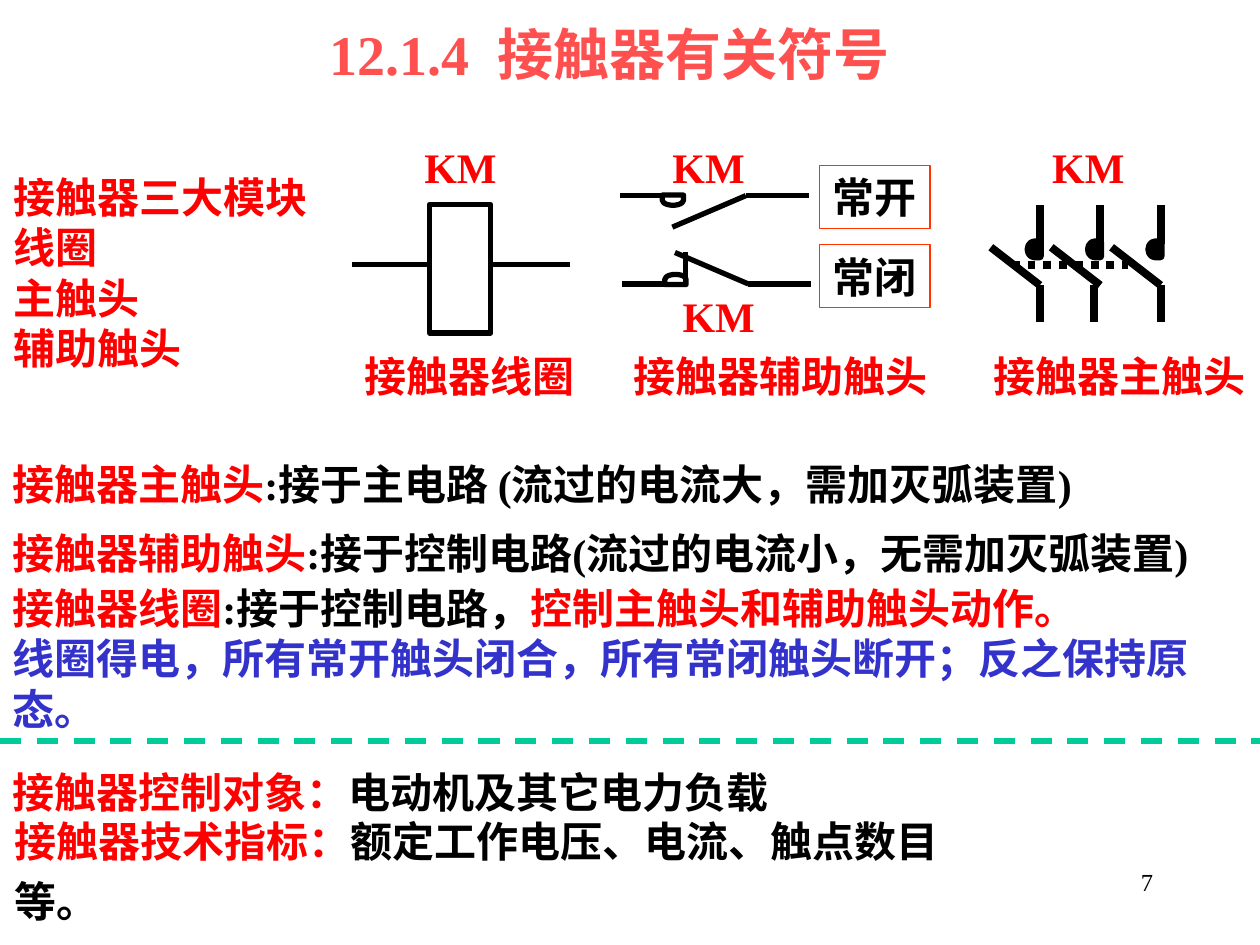
from lxml import etree
from pptx import Presentation
from pptx.dml.color import RGBColor
from pptx.enum import dml, shapes, text
from pptx.oxml.ns import qn
from pptx.util import Pt

RED = RGBColor(0xFF, 0x00, 0x00)
CORAL = RGBColor(0xFF, 0x50, 0x50)
FRAME = RGBColor(0xFF, 0x33, 0x00)
BLUE = RGBColor(0x33, 0x33, 0xCC)
GREEN = RGBColor(0x00, 0xCC, 0x99)
BLACK = RGBColor(0, 0, 0)
WHITE = RGBColor(0xFF, 0xFF, 0xFF)

FACE = {"name": "Times New Roman", "size": Pt(24), "bold": True}
INSETS = {"margin_left": Pt(7.2), "margin_right": Pt(7.2),
          "margin_top": Pt(3.6), "margin_bottom": Pt(3.6)}
MIDDLE = {"vertical_anchor": text.MSO_ANCHOR.MIDDLE}
FIT = {"auto_size": text.MSO_AUTO_SIZE.SHAPE_TO_FIT_TEXT}
LOOSE = {"word_wrap": False}
LABEL_Y = 119.5
ROW_H = 36


def assign(target, *formats):
    for values in formats:
        for key, value in values.items():
            setattr(target, key, value)


def write(frame, paras, form=None, face=None, **para_form):
    """Fill a frame; each paragraph is a list of (words, colour) runs."""
    assign(frame, INSETS, {"word_wrap": True}, form or {})
    for i, runs in enumerate(paras):
        para = frame.add_paragraph() if i else frame.paragraphs[0]
        para._p.get_or_add_pPr().set("hangingPunct", "0")
        assign(para, para_form)
        for words, colour in runs:
            run = para.add_run()
            run.text = words
            assign(run.font, FACE, face or {})
            run.font.color.rgb = colour


def label(slide, box, paras, form=None, face=None, **para_form):
    area = slide.shapes.add_textbox(*map(Pt, box))
    write(area.text_frame, paras, form, face, **para_form)


def tag(slide, x, y, words, width=55.5):
    label(slide, (x, y, width, ROW_H), [[(words, RED)]], FIT | LOOSE)


def wire(slide, x1, y1, x2, y2, width=3, colour=BLACK, dash=None):
    line = slide.shapes.add_connector(
        shapes.MSO_CONNECTOR.STRAIGHT, *map(Pt, (x1, y1, x2, y2)))
    line.line.color.rgb = colour
    line.line.width = Pt(width)
    if dash:
        line.line.dash_style = dash
    etree.SubElement(line._element.spPr, qn("a:effectLst"))


def block(slide, kind, box, fill=None, line=BLACK, width=3, turn=0):
    shape = slide.shapes.add_shape(kind, *map(Pt, box))
    shape.shadow.inherit = False
    shape.rotation = turn
    if fill is None:
        shape.fill.background()
    else:
        shape.fill.solid()
        shape.fill.fore_color.rgb = fill
    shape.line.color.rgb = line
    shape.line.width = Pt(width)
    return shape


def title(slide, box):
    head = slide.shapes.title
    assign(head, dict(zip(("left", "top", "width", "height"), map(Pt, box))))
    write(head.text_frame, [[("12.1.4  接触器有关符号", CORAL)]],
          MIDDLE | {"auto_size": text.MSO_AUTO_SIZE.NONE},
          {"size": Pt(32)}, alignment=text.PP_ALIGN.CENTER)


def modules(slide, box):
    """List the three parts of a contactor."""
    names = ("接触器三大模块", "线圈", "主触头", "辅助触头")
    label(slide, box, [[(name, RED)] for name in names], FIT | LOOSE)


def coil(slide, x, y):
    tag(slide, x, y + LABEL_Y, "接触器线圈", 135)
    block(slide, shapes.MSO_SHAPE.RECTANGLE, (x + 44, y + 39.5, 35, 73.5), WHITE)
    for start, end in ((0, 45), (78.5, 124.5)):
        wire(slide, x + start, y + 74, x + end, y + 74)
    tag(slide, x + 34, y, "KM")


def contact(slide, x, y, rise, arc_y, turn):
    """Draw one auxiliary contact whose blade tip lies rise below its axis."""
    for start in (0, 72):
        wire(slide, x + start, y, x + start + 36, y)
    wire(slide, x + 72, y, x + 30, y + rise)
    block(slide, shapes.MSO_SHAPE.FLOWCHART_DELAY,
          (x + 27.4, y + arc_y, 5.8, 12.2), WHITE, turn=turn)


def auxiliary(slide, x, y):
    contact(slide, x, y + 34.5, 18, -3.5, 90)
    contact(slide, x + 1.5, y + 85, -18, -8.7, 270)
    wire(slide, x + 37.5, y + 85, x + 37.5, y + 67)
    for i, name in enumerate(("常开", "常闭")):
        frame = block(slide, shapes.MSO_SHAPE.RECTANGLE,
                      (x + 114.2, y + 17.3 + 45.3 * i, 63, ROW_H),
                      line=FRAME, width=0.75)
        write(frame.text_frame, [[(name, BLACK)]], MIDDLE | FIT | LOOSE,
              alignment=text.PP_ALIGN.CENTER)
    tag(slide, x + 23, y, "KM")
    tag(slide, x + 28.8, y + 85, "KM")
    tag(slide, x + 0.7, y + LABEL_Y, "接触器辅助触头", 183)


def main_poles(slide, x, y):
    for pole, shift in ((33, 0), (67.5, -3.5), (102, 0)):
        px = x + pole
        wire(slide, px, y + 85.7, px - 28, y + 64, 4.5)
        block(slide, shapes.MSO_SHAPE.FLOWCHART_DELAY,
              (px - 6.5, y + 61.2, 6.5, 8), BLACK, width=4.5, turn=180)
        wire(slide, px + shift, y + 85.5, px + shift, y + 107, 4.5)
        wire(slide, px, y + 40, px, y + 62, 4.5)
    wire(slide, x + 17, y + 74, x + 83.5, y + 74, 4.5,
         dash=dml.MSO_LINE.ROUND_DOT)
    tag(slide, x + 33, y, "KM")
    tag(slide, x - 0.4, y + LABEL_Y, "接触器主触头", 159)


def notes(slide, x, y, width):
    """Explain how the parts are wired, above the dashed rule."""
    rows = (
        (0, ROW_H, [[("接触器主触头", RED),
                     (":接于主电路 (流过的电流大，需加灭弧装置)", BLACK)]]),
        (39.6, ROW_H, [[("接触器辅助触头", RED),
                        (":接于控制电路(流过的电流小，无需加灭弧装置)", BLACK)]]),
        (85, 65, [[("接触器线圈", RED), (":接于控制电路，", BLACK),
                   ("控制主触头和辅助触头动作。", RED)],
                  [("线圈得电，所有常开触头闭合，所有常闭触头断开；"
                    "反之保持原态。", BLUE)]]),
    )
    for top, height, paras in rows:
        label(slide, (x, y + top, width, height), paras, MIDDLE | FIT)
    wire(slide, x, y + 165, x + width, y + 165, 3, GREEN, dml.MSO_LINE.DASH)


def ratings(slide, x, y):
    """State what the contactor drives and its key figures."""
    rows = ((0, 0, 560, {}, "接触器控制对象：", "电动机及其它电力负载"),
            (1.4, 45.4, 590, LOOSE, "接触器技术指标：",
             "额定工作电压、电流、触点数目等。"))
    for left, top, width, form, term, words in rows:
        label(slide, (x + left, y + top, width, 42),
              [[(term, RED), (words, BLACK)]],
              MIDDLE | FIT | form, line_spacing=1.2)


def number(slide, box):
    label(slide, box, [[("7", BLACK)]], face={"size": Pt(14), "bold": False},
          alignment=text.PP_ALIGN.RIGHT)


def main():
    deck = Presentation()
    deck.slide_width, deck.slide_height = Pt(720), Pt(540)
    slide = deck.slides.add_slide(deck.slide_layouts[5])
    title(slide, (42.5, 0, 612, 60.5))
    modules(slide, (0.7, 94.3, 183, 151))
    coil(slide, 201.4, 77.3)
    auxiliary(slide, 354.2, 77.3)
    main_poles(slide, 561.2, 77.3)
    notes(slide, 0, 258.5, 720)
    ratings(slide, 0, 428.4)
    number(slide, (516, 492, 150, ROW_H))
    deck.save("out.pptx")


if __name__ == "__main__":
    main()
